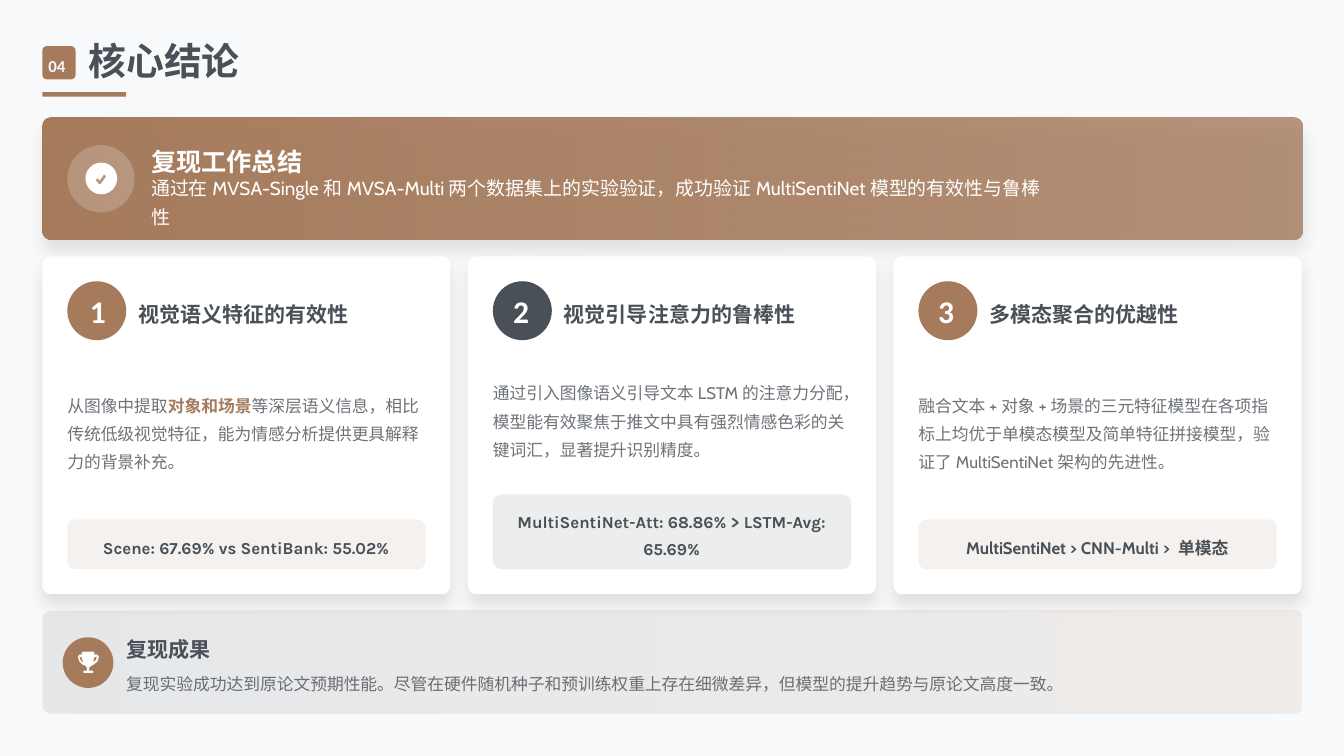
"""Build the core conclusions slide with three cards between two banners."""
from lxml import etree
from pptx import Presentation
from pptx.dml.color import RGBColor
from pptx.enum.shapes import MSO_SHAPE
from pptx.enum.text import MSO_ANCHOR, PP_ALIGN
from pptx.oxml.ns import qn
from pptx.util import Inches, Pt

RECT, ROUND, OVAL = MSO_SHAPE.RECTANGLE, MSO_SHAPE.ROUNDED_RECTANGLE, MSO_SHAPE.OVAL
LEFT, MID, CENTER = PP_ALIGN.LEFT, MSO_ANCHOR.MIDDLE, PP_ALIGN.CENTER
BROWN = RGBColor(0xA6, 0x7B, 0x5C)
SLATE = RGBColor(0x49, 0x50, 0x57)
WHITE = RGBColor(0xFF, 0xFF, 0xFF)
PALE = RGBColor(0xF8, 0xF9, 0xFA)
TICK = RGBColor(0xB8, 0x95, 0x7D)
HAN, SANS, STAT, NUM = "Noto Sans CJK SC", "Cabin", "Karla", "Calibri"

TITLE = "核心结论"
SUMMARY = ("复现工作总结", "通过在MVSA-Single和MVSA-Multi两个数据集上的实验验证，"
           "成功验证MultiSentiNet模型的有效性与鲁棒性")
RESULT = ("复现成果", "复现实验成功达到原论文预期性能。尽管在硬件随机种子和预训练权重上存在细微差异，"
          "但模型的提升趋势与原论文高度一致。")
CARDS = [
    dict(head="视觉语义特征的有效性", color=BROWN, lead=0.3, lines=1, font=STAT,
         body=["从图像中提取", "对象和场景",
               "等深层语义信息，相比传统低级视觉特征，能为情感分析提供更具解释力的背景补充。"],
         stat="Scene: 67.69% vs SentiBank: 55.02%"),
    dict(head="视觉引导注意力的鲁棒性", color=SLATE, lead=0.27, lines=2, font=STAT,
         body=["通过引入图像语义引导文本LSTM的注意力分配，"
               "模型能有效聚焦于推文中具有强烈情感色彩的关键词汇，显著提升识别精度。"],
         stat="MultiSentiNet-Att: 68.86% > LSTM-Avg: 65.69%"),
    dict(head="多模态聚合的优越性", color=BROWN, lead=0.26, lines=1, font=SANS,
         body=["融合文本+对象+场景的三元特征模型在各项指标上均优于单模态模型及简单特征拼接模型，"
               "验证了MultiSentiNet架构的先进性。"],
         stat="MultiSentiNet > CNN-Multi > 单模态"),
]
CUP = [
    [(111, 862), (123, 862), (125, 863), (125, 866), (129, 866), (131, 869), (129, 875),
     (124, 879), (122, 880), (118, 883), (118, 887), (122, 887), (124, 889), (122, 890),
     (111, 890), (110, 889), (111, 887), (115, 887), (115, 883), (112, 880), (109, 879),
     (105, 875), (103, 869), (105, 866), (108, 866), (108, 863)],
    [(108, 869), (105, 869), (107, 874), (110, 877)],
    [(123, 876), (127, 873), (128, 869), (125, 869)],
]
CHECK = [(128, 237), (132, 242), (139, 232)]
EDGE, WIDE, STEP, PAD = 0.56, 16.67, 5.63, 0.33


def fade(node, alphas):
    for tint, alpha in zip(node.iter(qn("a:srgbClr")), alphas):
        if alpha < 100:
            etree.SubElement(tint, qn("a:alpha"), val=str(alpha * 1000))


def paint(shape, *stops):
    if len(stops) == 1:
        shape.fill.solid()
        shape.fill.fore_color.rgb = stops[0][0]
    else:
        shape.fill.gradient()
        shape.fill.gradient_angle = 0
        for stop, (color, _) in zip(shape.fill.gradient_stops, stops):
            stop.color.rgb = color
    fade(shape.element.spPr, [alpha for _, alpha in stops])
    shape.line.fill.background()
    shape.shadow.inherit = False


def block(kind, box, *stops, radius=0.11):
    shape = shapes.add_shape(kind, *map(Inches, box))
    if kind == ROUND:
        shape.adjustments[0] = radius / min(box[2:])
    paint(shape, *stops)
    return shape


def lift(shape):
    root = shape.element.spPr.find(qn("a:effectLst"))
    cast = etree.SubElement(root, qn("a:outerShdw"), blurRad=str(Pt(15)), dist=str(Pt(10)),
                            dir="5400000", algn="bl", rotWithShape="0")
    tint = etree.SubElement(cast, qn("a:srgbClr"), val="000000")
    etree.SubElement(tint, qn("a:alpha"), val="10000")


def style(run, size, font, color, bold, alpha):
    run.font.size, run.font.name, run.font.bold = Pt(size), font, bold
    run.font.color.rgb = color
    props = run.font.fill._xPr
    fade(props, [alpha])
    props.find(qn("a:latin")).addnext(etree.Element(qn("a:ea"), typeface=HAN))


def write(box, parts, size, font, color, bold=False, alpha=100, gap=1.0, align=LEFT, shape=None):
    shape = shape or shapes.add_textbox(0, 0, 0, 0)
    shape.left, shape.top, shape.width, shape.height = map(Inches, box)
    frame = shape.text_frame
    frame.word_wrap, frame.vertical_anchor = True, MID
    frame.margin_left = frame.margin_right = frame.margin_top = frame.margin_bottom = 0
    para = frame.paragraphs[0]
    para.alignment, para.line_spacing = align, gap
    for i, part in enumerate(parts):
        run = para.add_run()
        run.text = part
        if i % 2:
            style(run, size, font, BROWN, True, 100)
        else:
            style(run, size, font, color, bold, alpha)


def sketch(paths, close):
    pen = shapes.build_freeform(*paths[0][0], scale=Inches(0.01))
    for i, path in enumerate(paths):
        if i:
            pen.move_to(*path[0])
        pen.add_line_segments(path[1:], close=close)
    return pen.convert_to_shape()


def card(i, item):
    left = EDGE + STEP * i
    x = left + PAD
    lift(block(ROUND, (left, 3.39, 5.4, 4.47), (WHITE, 100)))
    block(OVAL, (x, 3.72, 0.78, 0.78), (item["color"], 100))
    write((x + item["lead"], 3.86, 0.44, 0.5), [str(i + 1)], 30, NUM, WHITE, True)
    head = item["head"]
    write((x + 0.94, 3.92, 0.29 * len(head), 0.39), [head], 20, HAN, SLATE, True, gap=1.2)
    tall = 0.33 * item["lines"]
    top = 7.53 - PAD - tall
    write((x, 4.72, 4.85, top - 0.22 - 4.72), item["body"], 16, SANS, SLATE, alpha=80, gap=1.4)
    block(ROUND, (x, top, 4.74, tall + PAD), (item["color"], 10))
    write((x + 0.11, top + 0.17, 4.51, tall), [item["stat"]], 16, item["font"], SLATE, True,
          gap=1.3, align=CENTER)


deck = Presentation()
deck.slide_width, deck.slide_height = Inches(17.78), Inches(10)
slide = deck.slides.add_slide(deck.slide_layouts[5])
shapes = slide.shapes
slide.background.fill.solid()
slide.background.fill.fore_color.rgb = PALE

block(ROUND, (EDGE, 0.61, 0.44, 0.44), (BROWN, 100), radius=0.06)
write((0.64, 0.67, 0.39, 0.33), ["04"], 16, NUM, PALE, True, gap=1.3)
write((1.17, 0.56, 2.25, 0.56), [TITLE], 36, HAN, SLATE, True, gap=0.9, shape=shapes.title)
block(RECT, (EDGE, 1.22, 1.11, 0.06), (BROWN, 100))

lift(block(ROUND, (EDGE, 1.56, WIDE, 1.61), (BROWN, 100), (BROWN, 80)))
block(OVAL, (0.89, 1.92, 0.89, 0.89), (WHITE, 20))
block(OVAL, (1.13, 2.15, 0.42, 0.42), (WHITE, 100))
tick = sketch([CHECK], False)
tick.fill.background()
tick.line.color.rgb, tick.line.width = TICK, Pt(2.5)
tick.shadow.inherit = False
write((2, 1.89, 11.9, 0.44), SUMMARY[:1], 24, HAN, WHITE, True, gap=1.1)
write((2, 2.44, 11.86, 0.39), SUMMARY[1:], 18, SANS, WHITE, gap=1.3)

for i, item in enumerate(CARDS):
    card(i, item)

block(ROUND, (EDGE, 8.08, WIDE, 1.36), (SLATE, 10), (BROWN, 10))
block(OVAL, (0.83, 8.43, 0.67, 0.67), (BROWN, 100))
paint(sketch(CUP, True), (WHITE, 100))
write((1.67, 8.36, 12.58, 0.39), RESULT[:1], 20, HAN, SLATE, True, gap=1.2)
write((1.67, 8.81, 12.56, 0.36), RESULT[1:], 16, SANS, SLATE, alpha=80, gap=1.4)

deck.save("out.pptx")
